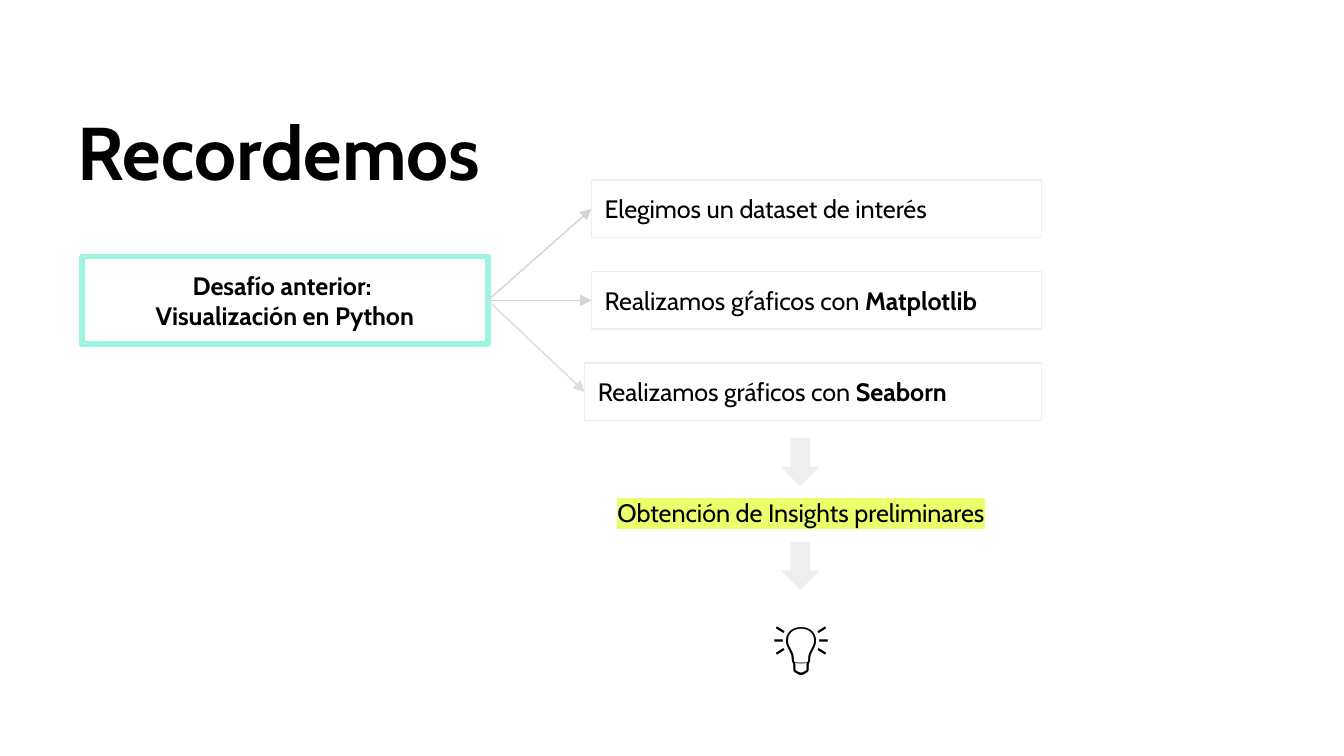
from dataclasses import dataclass

from lxml import etree
from pptx import Presentation
from pptx import util as u
from pptx.dml.color import RGBColor
from pptx.enum import shapes, text
from pptx.oxml import ns

FONT = "Cabin"
BLACK = "000000"
GREY = "EEEEEE"
TOP = text.MSO_ANCHOR.TOP
MIDDLE = text.MSO_ANCHOR.MIDDLE
LEFT = text.PP_ALIGN.LEFT
CENTER = text.PP_ALIGN.CENTER
GROW = text.MSO_AUTO_SIZE.SHAPE_TO_FIT_TEXT
FIXED = text.MSO_AUTO_SIZE.NONE


@dataclass(frozen=True)
class Span:
    wording: str
    bold: bool = False
    size: float = 13.5
    highlight: str = ""


@dataclass(frozen=True)
class Area:
    left: float
    top: float
    width: float
    height: float

    def lengths(self) -> list:
        return [u.Inches(v) for v in (self.left, self.top, self.width, self.height)]


@dataclass(frozen=True)
class Step:
    left: float
    spans: tuple
    arrow_color: str


def rgb(value: str) -> RGBColor:
    return RGBColor.from_string(value)


def set_all(target, values: dict) -> None:
    for name, value in values.items():
        setattr(target, name, value)


def add_span(para, span: Span) -> None:
    run = para.add_run()
    run.text = span.wording
    set_all(run.font, {"name": FONT, "size": u.Pt(span.size), "bold": span.bold})
    run.font.color.rgb = rgb(BLACK)
    if span.highlight:
        highlight = etree.Element(ns.qn("a:highlight"))
        etree.SubElement(highlight, ns.qn("a:srgbClr"), val=span.highlight)
        run.font._element.find(ns.qn("a:solidFill")).addnext(highlight)


def write(box, lines: list, align=LEFT, anchor=TOP, fit=FIXED, spacing: float = 1.0) -> None:
    frame = box.text_frame
    inset = u.Inches(0.1)
    set_all(frame, {
        "word_wrap": True, "auto_size": fit, "vertical_anchor": anchor,
        "margin_left": inset, "margin_right": inset,
        "margin_top": inset, "margin_bottom": inset,
    })
    for index, spans in enumerate(lines):
        para = frame.add_paragraph() if index else frame.paragraphs[0]
        set_all(para, {"alignment": align, "line_spacing": spacing})
        for span in spans:
            add_span(para, span)


def add_frame(page, area: Area, color: str, weight: float):
    box = page.shapes.add_shape(shapes.MSO_SHAPE.RECTANGLE, *area.lengths())
    box.shadow.inherit = False
    box.fill.background()
    box.line.color.rgb = rgb(color)
    box.line.width = u.Pt(weight)
    return box


def add_link(page, source, target, color: str) -> None:
    link = page.shapes.add_connector(shapes.MSO_CONNECTOR.STRAIGHT, 0, 0, 0, 0)
    link.begin_connect(source, 3)
    link.end_connect(target, 1)
    link.line.color.rgb = rgb(color)
    link.line.width = u.Pt(0.75)
    etree.SubElement(link.line._get_or_add_ln(), ns.qn("a:tailEnd"), type="triangle")
    etree.SubElement(link._element.spPr, ns.qn("a:effectLst"))


def add_down_arrow(page, area: Area) -> None:
    arrow = page.shapes.add_shape(shapes.MSO_SHAPE.DOWN_ARROW, *area.lengths())
    arrow.shadow.inherit = False
    arrow.fill.solid()
    arrow.fill.fore_color.rgb = rgb(GREY)
    arrow.line.fill.background()


def main() -> None:
    deck = Presentation()
    width = u.Inches(10)
    set_all(deck, {"slide_width": width, "slide_height": width * 9 // 16})
    page = deck.slides.add_slide(deck.slide_layouts[6])

    title = page.shapes.add_textbox(*Area(0.48, 0.59, 7.62, 1.08).lengths())
    write(title, [[Span("Recordemos", True, 40)]], spacing=1.15)

    challenge = add_frame(page, Area(0.61, 1.91, 3.02, 0.65), "9DF4E2", 3)
    write(challenge, [[Span("Desafío anterior: ", True)],
                      [Span("Visualización en Python", True)]], CENTER, fit=GROW)

    steps = [
        Step(4.4, (Span("Elegimos un dataset de interés", highlight="FFFFFF"),), "D4D4D4"),
        Step(4.4, (Span("Realizamos gŕaficos con "), Span("Matplotlib", True)), "D4D4D4"),
        Step(4.35, (Span("Realizamos gráficos con "), Span("Seaborn", True)), "DCDCDC"),
    ]
    right_edge = 7.75
    for row, step in enumerate(steps):
        area = Area(step.left, 1.34 + 0.68 * row, right_edge - step.left, 0.43)
        box = add_frame(page, area, GREY, 0.75)
        write(box, [step.spans], fit=GROW)
        add_link(page, challenge, box, step.arrow_color)

    for top in (3.26, 4.03):
        add_down_arrow(page, Area(5.81, top, 0.29, 0.36))

    insights = page.shapes.add_textbox(*Area(4.15, 3.59, 3.62, 0.44).lengths())
    write(insights, [[Span("Obtención de Insights preliminares", highlight="EAFF6A")]],
          CENTER, MIDDLE)

    idea = page.shapes.add_textbox(*Area(4.32, 4.44, 3.28, 0.71).lengths())
    write(idea, [[Span("💡", size=30, highlight="FFFFFF")]], CENTER, fit=GROW)

    deck.save("out.pptx")


if __name__ == "__main__":
    main()
